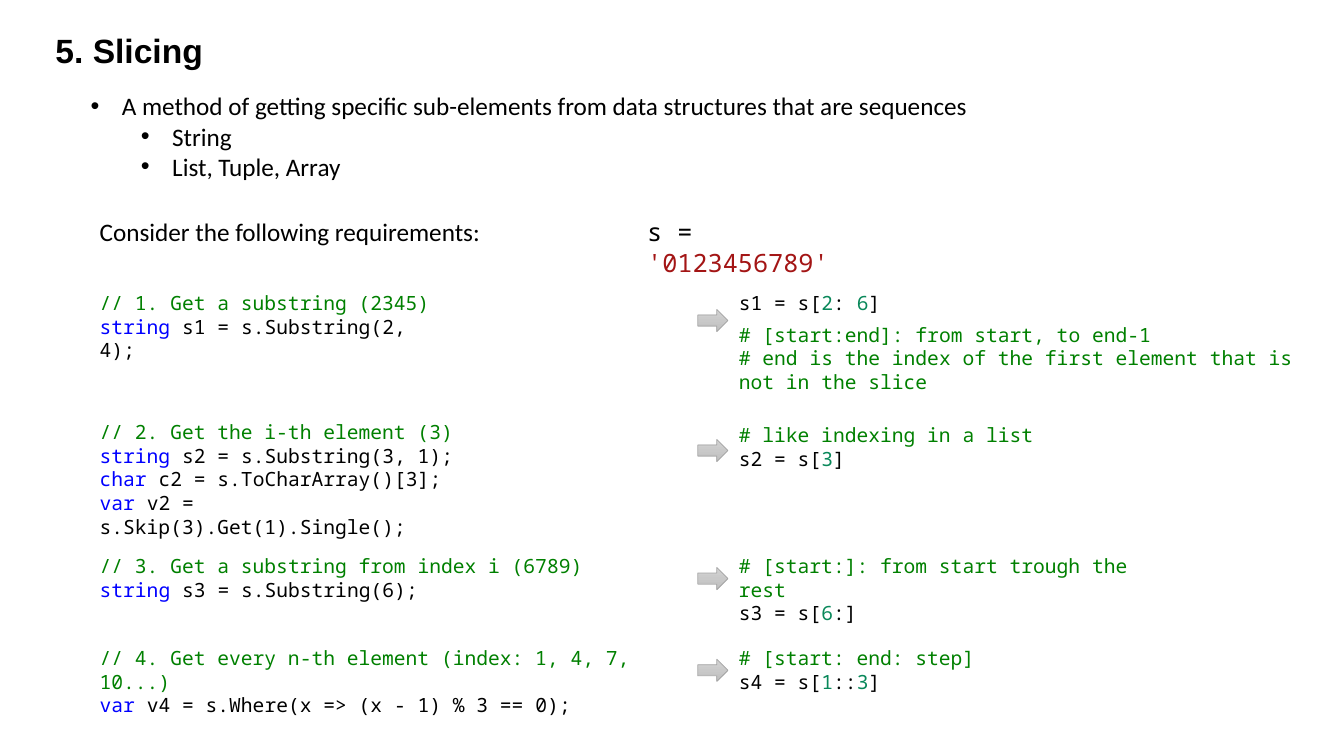
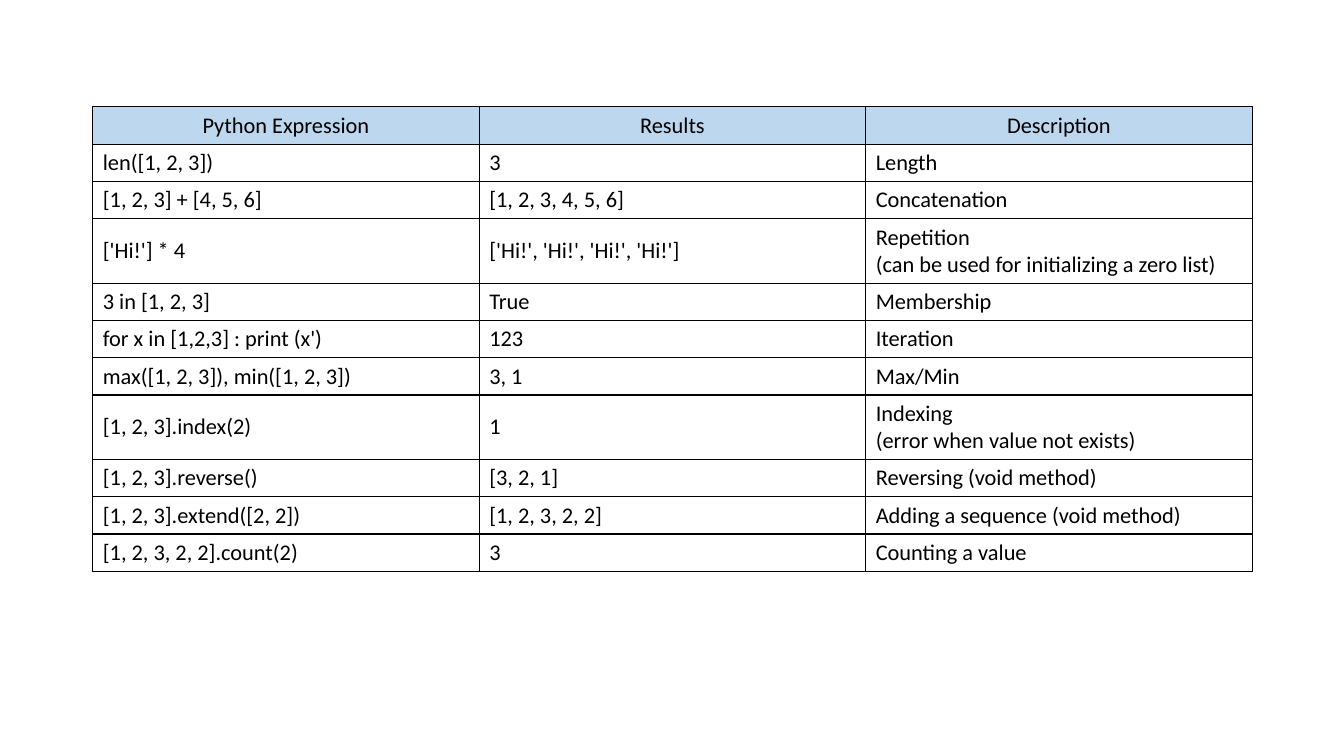
"""Build two slides about slicing sequences and list expressions in Python."""
from lxml import etree
from pptx import Presentation
from pptx import util as u
from pptx.dml.color import RGBColor
from pptx.enum import shapes, text
from pptx.oxml import ns

BLACK, COMMENT, KEYWORD = "000000", "008000", "0000FF"
STRING, NUMBER = "A31515", "09885A"
HEADER, ARROW_TOP, ARROW_BOTTOM, ARROW_LINE = "BDD7EE", "D2D2D2", "C0C0C0", "A5A5A5"
BODY_FONT, CODE_FONT, TITLE_FONT = "Calibri", "Noto Sans Mono", "Arial"
LEFT, ARROW_LEFT, RIGHT = 0.89, 6.92, 7.23

BULLETS = [
    (0, "A method of getting specific sub-elements from data structures that are sequences"),
    (1, "String"),
    (1, "List, Tuple, Array"),
]

REQUIREMENTS = [
    (2.84, 3.53, [
        [("// 1. Get a substring (2345)", COMMENT)],
        [("string", KEYWORD), (" s1 = s.Substring(2, 4);", BLACK)],
    ]),
    (4.12, 4.2, [
        [("// 2. Get the i-th element (3)", COMMENT)],
        [("string", KEYWORD), (" s2 = s.Substring(3, 1);", BLACK)],
        [("char", KEYWORD), (" c2 = s.ToCharArray()[3];", BLACK)],
        [("var", KEYWORD), (" v2 = s.Skip(3).Get(1).Single();", BLACK)],
    ]),
    (5.45, 5.62, [
        [("// 3. Get a substring from index i (6789)", COMMENT)],
        [("string", KEYWORD), (" s3 = s.Substring(6);", BLACK)],
    ]),
    (6.36, 5.86, [
        [("// 4. Get every n-th element (index: 1, 4, 7, 10...)", COMMENT)],
        [("var", KEYWORD), (" v4 = s.Where(x => (x - 1) % 3 == 0);", BLACK)],
    ]),
]

SOLUTIONS = [
    (2.84, 5.68, 3.07, [
        [("s1 = s[", BLACK), ("2", NUMBER), (": ", BLACK), ("6", NUMBER), ("]", BLACK)],
    ]),
    (4.15, 3.93, 4.36, [
        [("# like indexing in a list", COMMENT)],
        [("s2 = s[", BLACK), ("3", NUMBER), ("]", BLACK)],
    ]),
    (5.45, 4.53, 5.63, [
        [("# [start:]: from start trough the rest", COMMENT)],
        [("s3 = s[", BLACK), ("6", NUMBER), (":]", BLACK)],
    ]),
    (6.36, 6.67, 6.54, [
        [("# [start: end: step]", COMMENT)],
        [("s4 = s[", BLACK), ("1", NUMBER), ("::", BLACK), ("3", NUMBER), ("]", BLACK)],
    ]),
]

SLICE_NOTES = [
    [("# [start:end]: from start, to end-1", COMMENT)],
    [("# end is the index of the first element that is not in the slice", COMMENT)],
]

EXPRESSIONS = [
    ("Python Expression", "Results", "Description"),
    ("len([1, 2, 3])", "3", "Length"),
    ("[1, 2, 3] + [4, 5, 6]", "[1, 2, 3, 4, 5, 6]", "Concatenation"),
    ("['Hi!'] * 4", "['Hi!', 'Hi!', 'Hi!', 'Hi!']",
     "Repetition\n(can be used for initializing a zero list)"),
    ("3 in [1, 2, 3]", "True", "Membership"),
    ("for x in [1,2,3] : print (x')", "123", "Iteration"),
    ("max([1, 2, 3]), min([1, 2, 3])", "3, 1", "Max/Min"),
    ("[1, 2, 3].index(2)", "1", "Indexing\n(error when value not exists)"),
    ("[1, 2, 3].reverse()", "[3, 2, 1]", "Reversing (void method)"),
    ("[1, 2, 3].extend([2, 2])", "[1, 2, 3, 2, 2]", "Adding a sequence (void method)"),
    ("[1, 2, 3, 2, 2].count(2)", "3", "Counting a value"),
]


def colour(value):
    """Turn a hex string into a colour."""
    return RGBColor.from_string(value)


def inches(*lengths):
    """Turn numbers into lengths."""
    return [u.Inches(length) for length in lengths]


def set_font(font, name, size, value=None, bold=None):
    """Set the typeface, size, colour and weight of a font."""
    font.name, font.size, font.bold = name, u.Pt(size), bold
    if value:
        font.color.rgb = colour(value)


def add_title(page, words):
    """Place and format the title placeholder."""
    title = page.shapes.title
    title.left, title.top, title.width, title.height = inches(0.45, 0.2, 6, 0.65)
    frame = title.text_frame
    frame.text = words
    frame.auto_size = text.MSO_AUTO_SIZE.NONE
    frame.vertical_anchor = text.MSO_ANCHOR.MIDDLE
    para = frame.paragraphs[0]
    para.alignment = text.PP_ALIGN.LEFT
    para.line_spacing = 0.9
    set_font(para.font, TITLE_FONT, 24, BLACK, True)


def add_box(parent, left, top, width, height, lines):
    """Add a wrapping text box with one paragraph a line and return its paragraphs."""
    frame = parent.shapes.add_textbox(*inches(left, top, width, height)).text_frame
    frame.word_wrap = True
    frame.text = "\n".join(lines)
    return frame.paragraphs


def add_bullets(page, items):
    """Add a bulleted list with indented levels."""
    paras = add_box(page, 0.8, 0.85, 10.66, 1.01, [words for _, words in items])
    for para, (level, _) in zip(paras, items):
        para.level = level
        properties = para._p.get_or_add_pPr()
        properties.set("marL", str(u.Inches(0.31 + 0.5 * level)))
        properties.set("indent", str(u.Inches(-0.31)))
        etree.SubElement(properties, ns.qn("a:buFont")).set("typeface", "Arial")
        etree.SubElement(properties, ns.qn("a:buChar")).set("char", "•")
        set_font(para.font, BODY_FONT, 18, BLACK)


def add_code(parent, left, top, width, lines, size=14):
    """Add a box of code whose lines are lists of coloured spans."""
    height = 0.1 + len(lines) * size / 60
    paras = add_box(parent, left, top, width, height, [""] * len(lines))
    for para, spans in zip(paras, lines):
        para.line_spacing = u.Pt(size * 1.2)
        set_font(para.font, CODE_FONT, size)
        for words, value in spans:
            span = para.add_run()
            span.text = words
            span.font.color.rgb = colour(value)


def add_arrow(parent, top):
    """Add a grey block arrow pointing at a solution."""
    arrow = parent.shapes.add_shape(
        shapes.MSO_SHAPE.RIGHT_ARROW, *inches(ARROW_LEFT, top, 0.3, 0.22))
    arrow.shadow.inherit = False
    arrow.fill.gradient()
    arrow.fill.gradient_angle = 270
    for stop, value in zip(arrow.fill.gradient_stops, (ARROW_TOP, ARROW_BOTTOM)):
        stop.color.rgb = colour(value)
    arrow.line.color.rgb = colour(ARROW_LINE)
    arrow.line.width = u.Pt(0.5)


def add_borders(cell):
    """Draw a thin black line on every side of a cell."""
    properties = cell._tc.get_or_add_tcPr()
    for side in ("lnL", "lnR", "lnT", "lnB"):
        line = etree.SubElement(properties, ns.qn("a:" + side), w=str(u.Pt(1)))
        fill = etree.SubElement(line, ns.qn("a:solidFill"))
        etree.SubElement(fill, ns.qn("a:srgbClr"), val=BLACK)


def format_cell(cell, words, is_header):
    """Fill a cell with words, borders and background."""
    add_borders(cell)
    if is_header:
        cell.fill.solid()
        cell.fill.fore_color.rgb = colour(HEADER)
    else:
        cell.fill.background()
    cell.vertical_anchor = text.MSO_ANCHOR.MIDDLE
    cell.text = words
    for para in cell.text_frame.paragraphs:
        para.alignment = text.PP_ALIGN.CENTER if is_header else text.PP_ALIGN.LEFT
        set_font(para.font, BODY_FONT, 16, BLACK)


def add_table(page, rows):
    """Add a bordered table with a coloured header row."""
    table = page.shapes.add_table(
        len(rows), len(rows[0]), *inches(0.92, 1.06, 11.5, 4.57)).table
    table.first_row = table.horz_banding = False
    for index, row in enumerate(rows):
        has_two_lines = any("\n" in words for words in row)
        table.rows[index].height = u.Inches(0.64 if has_two_lines else 0.37)
        for column, words in enumerate(row):
            format_cell(table.cell(index, column), words, index == 0)


def build_slicing(deck):
    """Build the slide that pairs requirements with slices."""
    page = deck.slides.add_slide(deck.slide_layouts[5])
    add_title(page, "5. Slicing")
    add_bullets(page, BULLETS)
    add_code(page, 6.32, 2.1, 2.42, [[("s = ", BLACK), ("'0123456789'", STRING)]], 18)
    intro = add_box(page, LEFT, 2.1, 5.11, 0.4, ["Consider the following requirements:"])
    set_font(intro[0].font, BODY_FONT, 18, BLACK)
    for top, width, lines in REQUIREMENTS:
        add_code(page, LEFT, top, width, lines)
    for top, width, arrow_top, lines in SOLUTIONS:
        group = page.shapes.add_group_shape()
        add_code(group, RIGHT, top, width, lines)
        add_arrow(group, arrow_top)
    add_code(page, RIGHT, 3.15, 5.78, SLICE_NOTES)


def build_expressions(deck):
    """Build the slide with the table of list expressions."""
    page = deck.slides.add_slide(deck.slide_layouts[6])
    add_table(page, EXPRESSIONS)


def main():
    """Build and save the deck."""
    deck = Presentation()
    deck.slide_width, deck.slide_height = inches(13.33, 7.5)
    build_slicing(deck)
    build_expressions(deck)
    deck.save("out.pptx")


if __name__ == "__main__":
    main()
